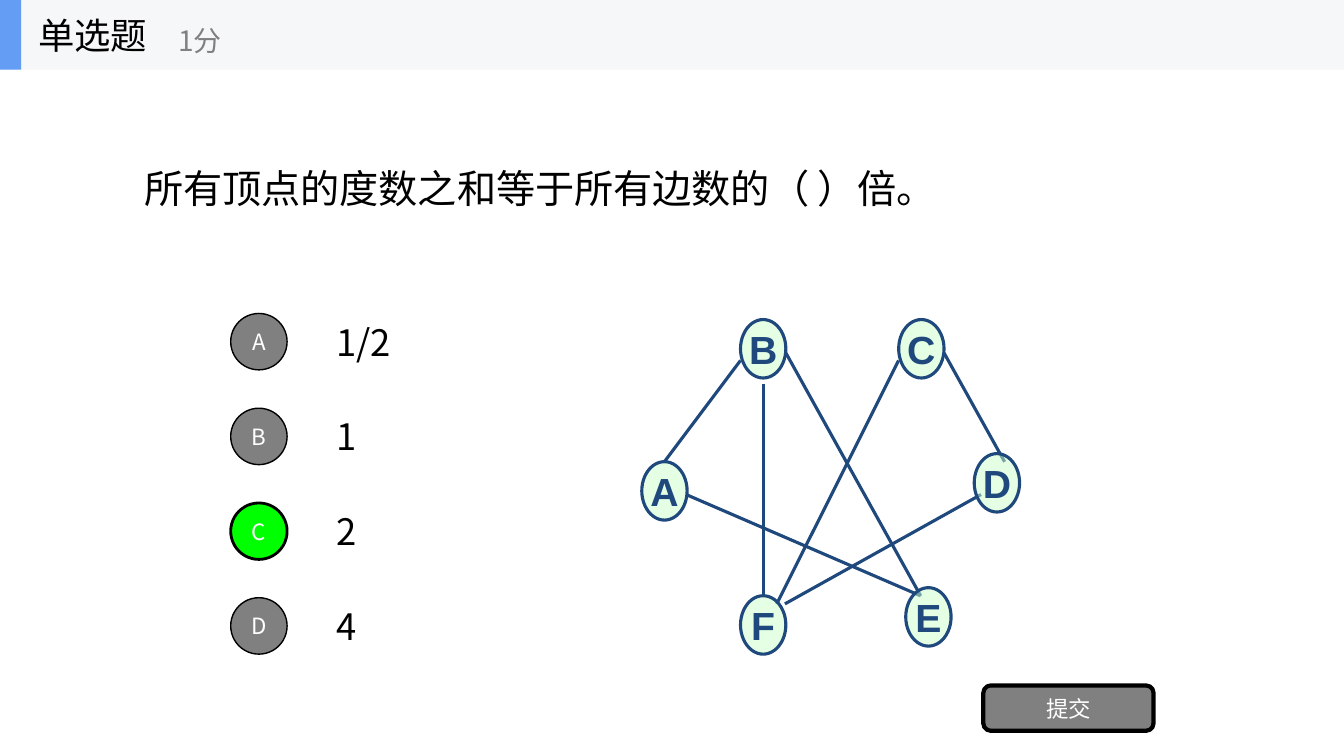
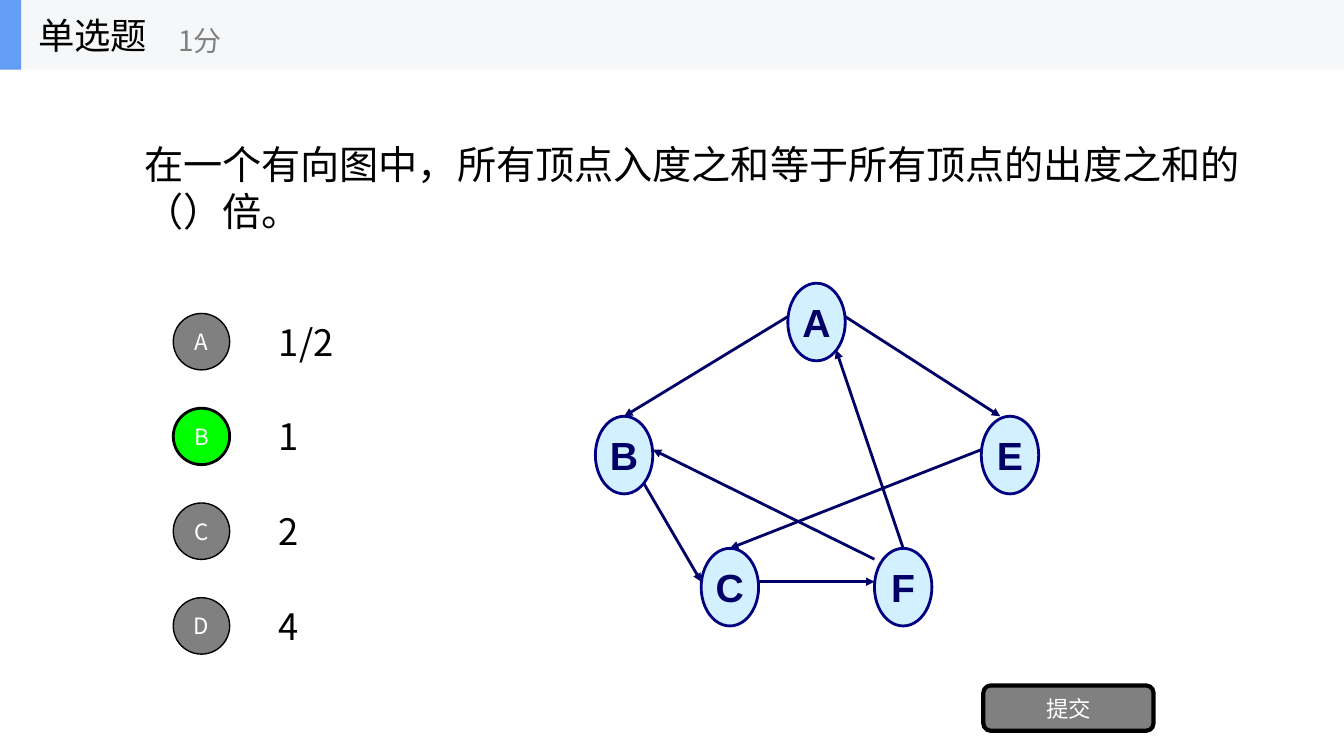
from dataclasses import dataclass
from typing import Optional

import lxml.etree
import pptx
import pptx.dml.color
import pptx.enum.shapes
import pptx.enum.text
import pptx.oxml.ns
import pptx.util

Inches = pptx.util.Inches
Pt = pptx.util.Pt
qn = pptx.oxml.ns.qn
ShapeKind = pptx.enum.shapes.MSO_SHAPE
Align = pptx.enum.text.PP_ALIGN


@dataclass(frozen=True)
class Theme:
    text_font: str = "Noto Sans CJK SC"
    node_font: str = "Arial"
    black: str = "000000"
    white: str = "FFFFFF"
    gray: str = "808080"
    correct: str = "00FF00"
    band: str = "F6F7F8"
    accent: str = "639EF4"
    question_size: int = 28
    node_size: int = 28
    body_size: int = 26
    score_size: int = 20
    button_size: int = 16


THEME = Theme()
SLIDE_WIDTH = 13.34
BAND_HEIGHT = 0.69
OPTION_TOP = 3.04
OPTION_PITCH = 0.94
BADGE_SIZE = 0.56


@dataclass(frozen=True)
class Box:
    left: float
    top: float
    width: float
    height: float

    def lengths(self) -> tuple:
        return tuple(Inches(value) for value in
                     (self.left, self.top, self.width, self.height))

    def point(self, across: float, down: float) -> tuple:
        """Return the place at the given fractions of width and height."""
        return (Inches(self.left + across * self.width),
                Inches(self.top + down * self.height))


@dataclass(frozen=True)
class Edge:
    """An edge; each end is a place given as fractions of its node's box."""
    start: str
    start_at: tuple
    end: str
    end_at: tuple


@dataclass(frozen=True)
class Graph:
    nodes: dict
    edges: list
    node_width: float
    node_height: float
    fill: str
    outline: str
    ink: str
    line_width: float
    directed: bool


@dataclass(frozen=True)
class Question:
    text: str
    width: float
    badge_left: float
    options: list
    answer: str
    graph: Graph


TOP = (0.5, 0)

UNDIRECTED = Graph(
    nodes={"A": (6.37, 4.58), "B": (7.35, 3.17), "C": (8.92, 3.17),
           "D": (9.67, 4.5), "E": (8.99, 5.83), "F": (7.35, 5.91)},
    edges=[
        Edge("B", (0, 0.7), "A", TOP),
        Edge("B", (1, 0.57), "E", (0.33, 0.14)),
        Edge("A", (1, 0.57), "E", (0.33, 0.14)),
        Edge("C", (0, 0.7), "F", (0.8, 0.14)),
        Edge("C", (1, 0.57), "D", (0.67, 0.14)),
        Edge("D", (0.15, 0.7), "F", (0.98, 0.14)),
        Edge("B", (0.5, 1.1), "F", TOP),
    ],
    node_width=0.45, node_height=0.58, fill="CCFFCC", outline="1F497D",
    ink="1F497D", line_width=2.25, directed=False)

DIRECTED = Graph(
    nodes={"A": (7.82, 2.81), "B": (5.91, 4.13), "E": (9.74, 4.13),
           "C": (6.96, 5.44), "F": (8.68, 5.44)},
    edges=[
        Edge("A", (0, 0.43), "B", TOP),
        Edge("B", (0.84, 0.86), "C", (0, 0.43)),
        Edge("C", (1, 0.43), "F", (0, 0.43)),
        Edge("F", TOP, "A", (0.84, 0.86)),
        Edge("A", (1, 0.43), "E", (0.33, 0)),
        Edge("F", (0, 0.14), "B", (1, 0.43)),
        Edge("E", (0, 0.43), "C", TOP),
    ],
    node_width=0.57, node_height=0.77, fill="A7E2FF", outline="000080",
    ink="000066", line_width=2, directed=True)

QUESTIONS = [
    Question("所有顶点的度数之和等于所有边数的（ ）倍。", 10.67, 2.29,
             ["1/2", "1", "2", "4"], "C", UNDIRECTED),
    Question("在一个有向图中，所有顶点入度之和等于所有顶点的出度之和的（）倍。",
             11.24, 1.72, ["1/2", "1", "2", "4"], "B", DIRECTED),
]


def rgb(value: str) -> pptx.dml.color.RGBColor:
    return pptx.dml.color.RGBColor.from_string(value)


def write(shape, text: str, size: float, color: str, align=Align.LEFT,
          font: str = THEME.text_font, bold: bool = False) -> None:
    frame = shape.text_frame
    frame.vertical_anchor = pptx.enum.text.MSO_ANCHOR.MIDDLE
    paragraph = frame.paragraphs[0]
    paragraph.alignment = align
    run = paragraph.add_run()
    run.text = text
    run.font.size = Pt(size)
    run.font.bold = bold
    run.font.color.rgb = rgb(color)
    run.font.name = font
    east_asian = lxml.etree.SubElement(run.font._element, qn("a:ea"))
    east_asian.set("typeface", font)


def add_label(slide, box: Box, text: str, size: float, color: str) -> None:
    label = slide.shapes.add_textbox(*box.lengths())
    label.text_frame.word_wrap = True
    write(label, text, size, color)


def add_figure(slide, kind, box: Box, fill: str,
               line: Optional[str] = None, line_width: float = 1):
    shape = slide.shapes.add_shape(kind, *box.lengths())
    shape.shadow.inherit = False
    shape.fill.solid()
    shape.fill.fore_color.rgb = rgb(fill)
    if line is None:
        shape.line.fill.background()
    else:
        shape.line.color.rgb = rgb(line)
        shape.line.width = Pt(line_width)
    return shape


def add_header(slide) -> None:
    for width, color in ((SLIDE_WIDTH, THEME.band), (0.21, THEME.accent)):
        add_figure(slide, ShapeKind.RECTANGLE,
                   Box(0, 0, width, BAND_HEIGHT), color)
    add_label(slide, Box(0.28, 0, 2.08, BAND_HEIGHT), "单选题",
              THEME.body_size, THEME.black)
    add_label(slide, Box(1.67, 0.12, 2.5, 0.56), "1分",
              THEME.score_size, THEME.gray)


def add_question(slide, question: Question) -> None:
    title = slide.shapes.title
    box = Box(1.33, BAND_HEIGHT, question.width, 2.34)
    title.left, title.top, title.width, title.height = box.lengths()
    title.text_frame.word_wrap = True
    title.text_frame.auto_size = pptx.enum.text.MSO_AUTO_SIZE.NONE
    write(title, question.text, THEME.question_size, THEME.black)


def add_options(slide, question: Question) -> None:
    for index, (letter, text) in enumerate(zip("ABCD", question.options)):
        top = OPTION_TOP + index * OPTION_PITCH
        add_label(slide, Box(question.badge_left + 0.95, top, 1.36, 0.7),
                  text, THEME.body_size, THEME.black)
        is_answer = letter == question.answer
        badge = add_figure(
            slide, ShapeKind.OVAL,
            Box(question.badge_left, top + 0.07, BADGE_SIZE, BADGE_SIZE),
            THEME.correct if is_answer else THEME.gray,
            THEME.black, 2 if is_answer else 1)
        write(badge, letter, THEME.button_size, THEME.white, Align.CENTER)


def add_submit_button(slide) -> None:
    button = add_figure(slide, ShapeKind.ROUNDED_RECTANGLE,
                        Box(9.76, 6.8, 1.69, 0.45), THEME.gray,
                        THEME.black, 3)
    write(button, "提交", THEME.button_size, THEME.white, Align.CENTER)


def add_edge(slide, graph: Graph, boxes: dict, edge: Edge):
    connector = slide.shapes.add_connector(
        pptx.enum.shapes.MSO_CONNECTOR.STRAIGHT,
        *boxes[edge.start].point(*edge.start_at),
        *boxes[edge.end].point(*edge.end_at))
    connector.line.color.rgb = rgb(graph.ink)
    connector.line.width = Pt(graph.line_width)
    if graph.directed:
        arrow = lxml.etree.SubElement(connector.line._get_or_add_ln(),
                                      qn("a:tailEnd"))
        arrow.set("type", "triangle")
    lxml.etree.SubElement(connector._element.spPr, qn("a:effectLst"))
    return connector


def add_node(slide, graph: Graph, box: Box, name: str):
    node = add_figure(slide, ShapeKind.OVAL, box, graph.fill,
                      graph.outline, graph.line_width)
    color = node._element.spPr.find(qn("a:solidFill"))[0]
    lxml.etree.SubElement(color, qn("a:alpha")).set("val", "50000")
    node.text_frame.word_wrap = False
    write(node, name, THEME.node_size, graph.ink, Align.CENTER,
          THEME.node_font, True)
    return node


def add_graph(slide, graph: Graph) -> None:
    """Draw the edges beneath the nodes, then join ends at node tops."""
    boxes = {name: Box(left, top, graph.node_width, graph.node_height)
             for name, (left, top) in graph.nodes.items()}
    connectors = [add_edge(slide, graph, boxes, edge) for edge in graph.edges]
    nodes = {name: add_node(slide, graph, box, name)
             for name, box in boxes.items()}
    for edge, connector in zip(graph.edges, connectors):
        if edge.start_at == TOP:
            connector.begin_connect(nodes[edge.start], 0)
        if edge.end_at == TOP:
            connector.end_connect(nodes[edge.end], 0)


def main() -> None:
    presentation = pptx.Presentation()
    presentation.slide_width = Inches(SLIDE_WIDTH)
    presentation.slide_height = Inches(7.5)
    for question in QUESTIONS:
        slide = presentation.slides.add_slide(presentation.slide_layouts[5])
        add_question(slide, question)
        add_options(slide, question)
        add_submit_button(slide)
        add_graph(slide, question.graph)
        add_header(slide)
    presentation.save("out.pptx")


if __name__ == "__main__":
    main()
